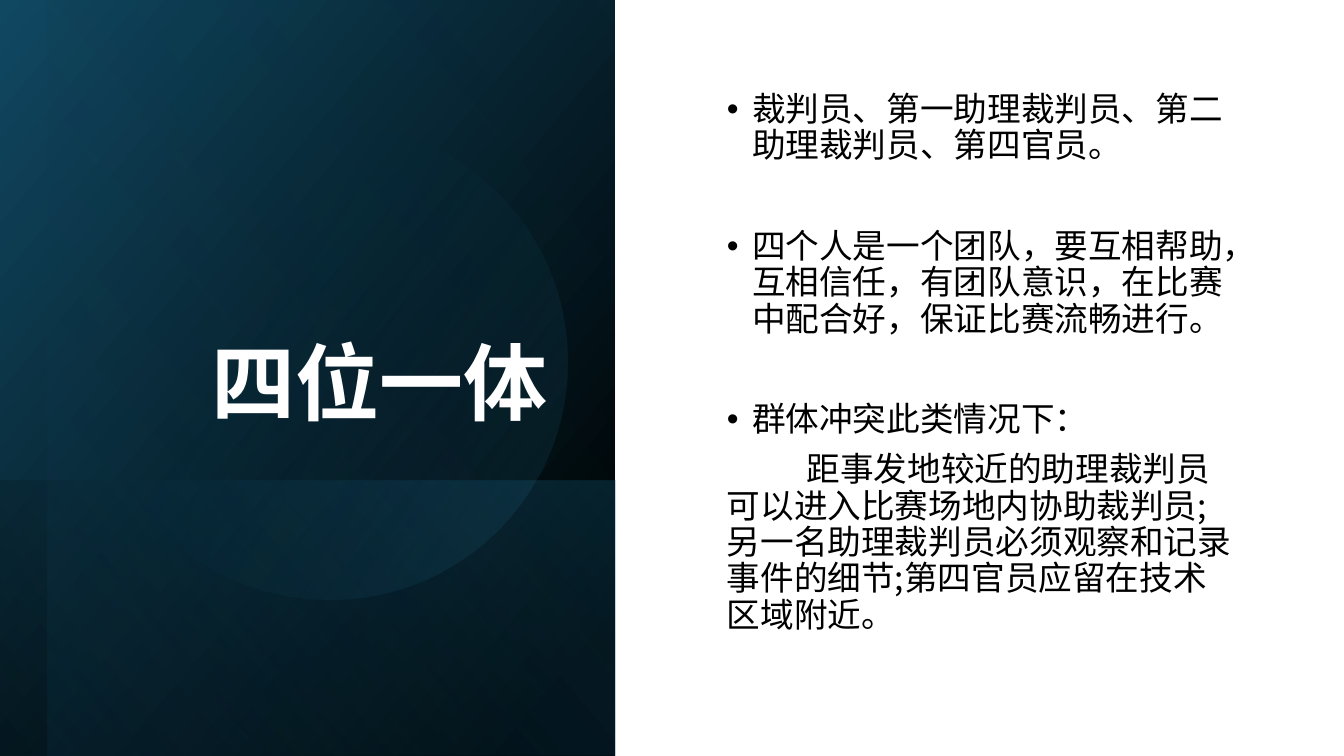
import pptx
import pptx.dml.color
import pptx.enum.shapes
import pptx.enum.text
import pptx.oxml.ns
import pptx.util
from lxml import etree

WIDTH, HEIGHT = 13.33, 7.5
FONT = "Noto Sans CJK SC"
ANCHOR = pptx.enum.text.MSO_ANCHOR
ALIGN = pptx.enum.text.PP_ALIGN
SHAPE = pptx.enum.shapes.MSO_SHAPE
Inches, Pt = pptx.util.Inches, pptx.util.Pt
qn = pptx.oxml.ns.qn

# Text, bullet, space before
DUTIES = [
    ("裁判员、第一助理裁判员、第二助理裁判员、第四官员。", True, 0),
    ("四个人是一个团队，要互相帮助，互相信任，有团队意识，在比赛中配合好，保证比赛流畅进行。", True, 46),
    ("群体冲突此类情况下：", True, 46),
    ("距事发地较近的助理裁判员可以进入比赛场地内协助裁判员;另一名助理裁判员必须观察和记录"
     "事件的细节;第四官员应留在技术区域附近。", False, 10),
]


def color(value):
    return pptx.dml.color.RGBColor.from_string(value)


def set_values(target, values):
    for name, value in values.items():
        setattr(target, name, value)


def place(shape, box):
    for name, value in zip(("left", "top", "width", "height"), box):
        setattr(shape, name, Inches(value))


def add_gradient(page, kind, box, rotation, angle, stops, flip=False):
    """Draw a shape whose stops are (position, colour, opacity) in percent."""
    shape = page.shapes.add_shape(kind, *map(Inches, box))
    shape.shadow.inherit = False
    shape.line.fill.background()
    shape.rotation = rotation
    if flip:
        shape._element.spPr.find(qn("a:xfrm")).set("flipH", "1")
    shape.fill.gradient()
    shape.fill.gradient_angle = 360 - angle
    for stop, (position, value, _) in zip(shape.fill.gradient_stops, stops):
        stop.position = position / 100
        stop.color.rgb = color(value)
    for node, (_, _, opacity) in zip(shape._element.spPr.iter(qn("a:srgbClr")), stops):
        etree.SubElement(node, qn("a:alpha")).set("val", str(opacity * 1000))


def turned(box):
    """Return the box that fills the given one after a quarter turn."""
    left, top, width, height = box
    return (left + (width - height) / 2, top + (height - width) / 2, height, width)


def add_panel(page, box):
    left, top, width, height = box
    base = height * 0.635
    veil = width * 0.077
    layers = [
        (box, 50, [(8, "000000", 100), (100, "104862", 100)]),
        ((left, top + base, width, height - base), 130,
         [(2, "156082", 29), (100, "000000", 30)]),
        ((left + veil, top, width - veil, height), 130,
         [(0, "000000", 0), (99, "156082", 11)]),
    ]
    for layer, angle, stops in layers:
        add_gradient(page, SHAPE.RECTANGLE, turned(layer), 90, angle, stops, flip=True)
    # Soft disc
    disc = (left + width * 0.148, top + height * 0.164, 4.72, 4.72)
    add_gradient(page, SHAPE.OVAL, disc, 101.6, 290,
                 [(39, "156082", 0), (100, "46B1E1", 15)])


def format_span(span, size, value, bold):
    set_values(span.font, {"size": Pt(size), "name": FONT, "bold": bold})
    span.font.color.rgb = color(value)
    east = etree.SubElement(span._r.get_or_add_rPr(), qn("a:ea"))
    east.set("typeface", FONT)


def prepare_frame(shape, box, anchor):
    place(shape, box)
    set_values(shape.text_frame, {
        "word_wrap": True, "vertical_anchor": anchor,
        "auto_size": pptx.enum.text.MSO_AUTO_SIZE.NONE})
    return shape.text_frame


def add_title(page, box):
    frame = prepare_frame(page.shapes.title, box, ANCHOR.BOTTOM)
    para = frame.paragraphs[0]
    set_values(para, {"alignment": ALIGN.RIGHT, "line_spacing": 0.9})
    span = para.add_run()
    span.text = "四位一体"
    format_span(span, 60, "FFFFFF", True)


def add_duties(page, box):
    frame = prepare_frame(page.placeholders[1], box, ANCHOR.MIDDLE)
    frame.margin_bottom = Inches(0.34)
    for index, (text, bullet, before) in enumerate(DUTIES):
        para = frame.add_paragraph() if index else frame.paragraphs[0]
        layout = para._p.get_or_add_pPr()
        layout.set("marL", str(Inches(0.25 if bullet else 0)))
        layout.set("indent", str(Inches(-0.25 if bullet else 0.79)))
        if bullet:
            face = etree.SubElement(layout, qn("a:buFont"))
            face.set("typeface", "Arial")
            etree.SubElement(layout, qn("a:buChar")).set("char", "•")
        else:
            etree.SubElement(layout, qn("a:buNone"))
        set_values(para, {"alignment": ALIGN.LEFT, "line_spacing": 0.9,
                          "space_before": Pt(before)})
        span = para.add_run()
        span.text = text
        format_span(span, 24, "000000", False)


def build_page(deck):
    page = deck.slides.add_slide(deck.slide_layouts[1])
    page.background.fill.solid()
    page.background.fill.fore_color.rgb = color("FFFFFF")
    add_panel(page, (0, 0, 6.1, HEIGHT))
    # Text stays in front of the panel
    for shape in (page.shapes.title, page.placeholders[1]):
        page.shapes._spTree.append(shape._element)
    add_title(page, (0.9, 0.64, 4.63, 3.7))
    add_duties(page, (7.11, 0, 5.28, HEIGHT))


def main():
    deck = pptx.Presentation()
    deck.slide_width, deck.slide_height = Inches(WIDTH), Inches(HEIGHT)
    build_page(deck)
    deck.save("out.pptx")


if __name__ == "__main__":
    main()
